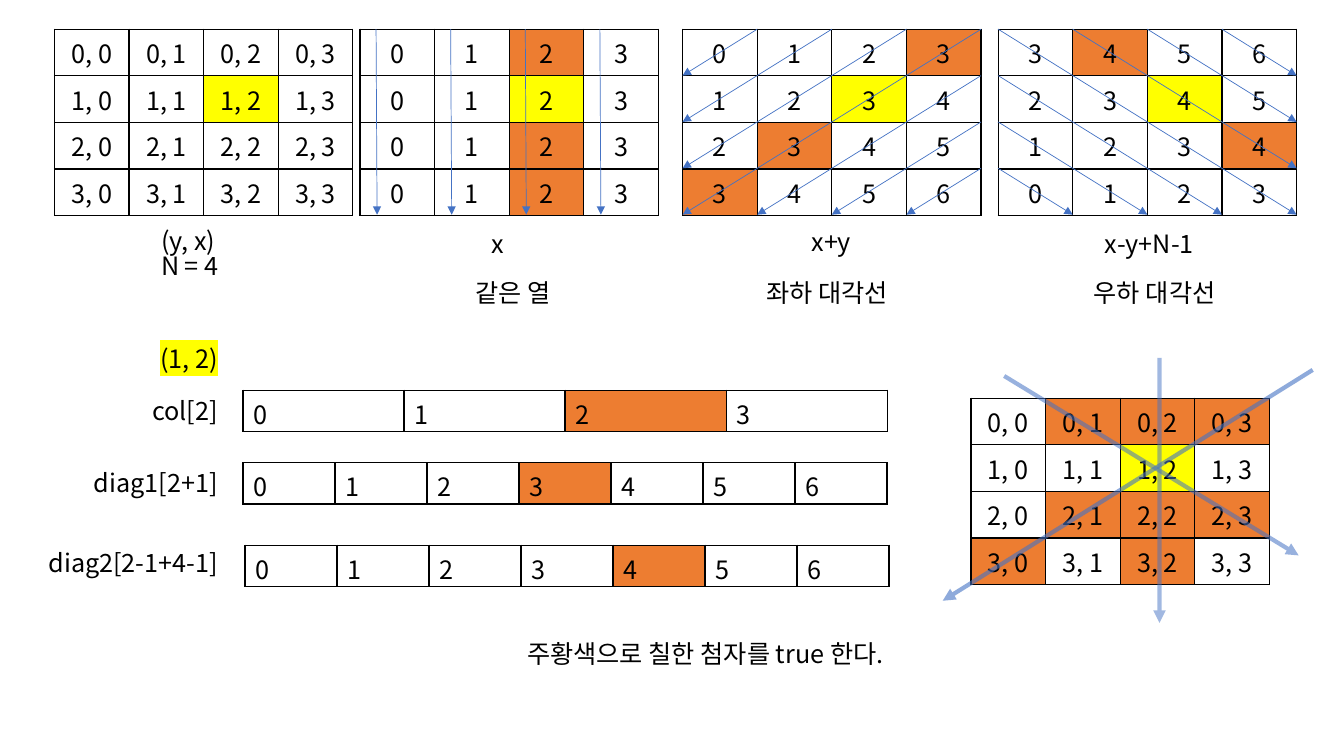
from pptx import Presentation
from pptx.dml.color import RGBColor
from pptx.enum.shapes import MSO_CONNECTOR
from pptx.enum.text import MSO_AUTO_SIZE, PP_ALIGN
from pptx.oxml import parse_xml
from pptx.oxml.ns import nsdecls, qn
from pptx.util import Inches, Pt

LEFT, CENTER, RIGHT = PP_ALIGN.LEFT, PP_ALIGN.CENTER, PP_ALIGN.RIGHT
STRAIGHT = MSO_CONNECTOR.STRAIGHT
FIT_SHAPE = MSO_AUTO_SIZE.SHAPE_TO_FIT_TEXT

BLACK = RGBColor(0x00, 0x00, 0x00)
ORANGE = RGBColor(0xED, 0x7D, 0x31)
YELLOW = RGBColor(0xFF, 0xFF, 0x00)
BLUE = RGBColor(0x44, 0x72, 0xC4)
FONT = "Noto Sans CJK KR"

N = 4
QUEEN_Y, QUEEN_X = 1, 2
COL, ROW = 0.74, 0.46
STRIP_WIDTH, STRIP_HEIGHT = 6.39, 0.41
BOARD_TOP = 0.29
LABEL_RIGHT = 2.26


def element(tag, body="", attrs=""):
    """Return a DrawingML element."""
    return parse_xml(f"<a:{tag} {nsdecls('a')} {attrs}>{body}</a:{tag}>")


def format_paragraph(p, align):
    """Apply the common font and the alignment to a paragraph."""
    p.alignment = align
    p.font.size = Pt(18)
    p.font.color.rgb = BLACK
    p.font.name = FONT
    latin = p._p.pPr.find(qn("a:defRPr")).find(qn("a:latin"))
    latin.addnext(element("ea", attrs=f'typeface="{FONT}"'))


def add_borders(cell):
    """Draw a thin black line on each side of a cell."""
    fill = f'<a:solidFill><a:srgbClr val="{BLACK}"/></a:solidFill>'
    for i, side in enumerate(("lnL", "lnR", "lnT", "lnB")):
        cell._tc.get_or_add_tcPr().insert(i, element(side, fill, 'w="12700"'))


def add_grid(s, left, top, col, row, rows, align):
    """Add a bordered table from rows of (text, fill) pairs."""
    n_rows, n_cols = len(rows), len(rows[0])
    table = s.shapes.add_table(n_rows, n_cols, Inches(left), Inches(top),
                               Inches(col * n_cols), Inches(row * n_rows)).table
    table.first_row = table.horz_banding = False
    for y, values in enumerate(rows):
        table.rows[y].height = Inches(row)
        for x, (text, color) in enumerate(values):
            table.columns[x].width = Inches(col)
            cell = table.cell(y, x)
            cell.text = text
            format_paragraph(cell.text_frame.paragraphs[0], align)
            if color is None:
                cell.fill.background()
            else:
                cell.fill.solid()
                cell.fill.fore_color.rgb = color
            if row < ROW:
                cell.margin_bottom = 0
            add_borders(cell)


def add_board(s, left, top, value, attacked):
    """Add an N by N board with the queen in yellow and attacked cells in orange."""
    def color(y, x):
        if (y, x) == (QUEEN_Y, QUEEN_X):
            return YELLOW
        return ORANGE if attacked(y, x) else None

    rows = [[(value(y, x), color(y, x)) for x in range(N)] for y in range(N)]
    add_grid(s, left, top, COL, ROW, rows, CENTER)


def add_strip(s, left, top, count, marked):
    """Add a one-row array with its marked index in orange."""
    row = [(str(i), ORANGE if i == marked else None) for i in range(count)]
    add_grid(s, left, top, STRIP_WIDTH / count, STRIP_HEIGHT, [row], LEFT)


def add_label(s, left, top, width, text, align=LEFT, wrap=True, highlight=None):
    """Add a text box with one paragraph per line of text."""
    lines = text.split("\n")
    tf = s.shapes.add_textbox(Inches(left), Inches(top), Inches(width),
                              Inches(0.1 + 0.3 * len(lines))).text_frame
    tf.word_wrap = wrap
    tf.auto_size = FIT_SHAPE
    tf.text = text
    for i, p in enumerate(tf.paragraphs):
        format_paragraph(p, align)
        if i:
            p.line_spacing = 0.8
        if highlight is not None:
            color = f'<a:srgbClr val="{highlight}"/>'
            p.runs[0]._r.get_or_add_rPr().append(element("highlight", color))


def add_arrow(s, start, end, width=0.5, opacity=100):
    """Add a blue arrow between two points."""
    line = s.shapes.add_connector(STRAIGHT, *(Inches(v) for v in (*start, *end)))
    line.line.color.rgb = BLUE
    line.line.width = Pt(width)
    ln = line.line._ln
    ln.append(element("tailEnd", attrs='type="triangle"'))
    if opacity < 100:
        color = ln.find(qn("a:solidFill"))[0]
        color.append(element("alpha", attrs=f'val="{opacity * 1000}"'))
    line._element.spPr.append(element("effectLst"))


def add_diagonals(s, left, mirrored):
    """Add one arrow along each diagonal of a board."""
    def point(x, y):
        return left + COL * (N - x if mirrored else x), BOARD_TOP + ROW * y

    for k in range(1, 2 * N):
        near, far = max(0, k - N), min(k, N)
        add_arrow(s, point(far, near), point(near, far))


def main():
    """Build the slide on queen attack indices."""
    prs = Presentation()
    prs.slide_width, prs.slide_height = Inches(13.33), Inches(7.5)
    s = prs.slides.add_slide(prs.slide_layouts[6])

    def pair(y, x):
        return f"{y}, {x}"

    def same_column(y, x):
        return x == QUEEN_X

    def same_down_left(y, x):
        return x + y == QUEEN_X + QUEEN_Y

    def same_down_right(y, x):
        return x - y == QUEEN_X - QUEEN_Y

    def any_line(y, x):
        return same_column(y, x) or same_down_left(y, x) or same_down_right(y, x)

    add_board(s, 0.54, BOARD_TOP, pair, lambda y, x: False)
    add_board(s, 3.57, BOARD_TOP, lambda y, x: str(x), same_column)
    add_board(s, 6.77, BOARD_TOP, lambda y, x: str(x + y), same_down_left)
    add_board(s, 9.9, BOARD_TOP, lambda y, x: str(x - y + N - 1), same_down_right)
    add_board(s, 9.63, 3.95, pair, any_line)

    for x in range(N):
        left = 3.73 + COL * x
        add_arrow(s, (left, BOARD_TOP), (left + 0.01, BOARD_TOP + ROW * N))
    add_diagonals(s, 6.77, mirrored=False)
    add_diagonals(s, 9.9, mirrored=True)

    for left, top, width, text in (
        (1.5, 2.19, 1.24, "(y, x)\nN\u00a0= 4"),
        (4.78, 2.22, 0.97, "x"),
        (7.95, 2.2, 1.64, "x+y"),
        (10.86, 2.22, 1.95, "x-y+N-1"),
        (4.62, 2.7, 1.05, "같은 열"),
        (7.5, 2.7, 1.64, "좌하 대각선"),
        (10.75, 2.7, 1.78, "우하 대각선"),
    ):
        add_label(s, left, top, width, text)

    add_label(s, 1.49, 3.36, 0.97, "(1, 2)", highlight=YELLOW)
    for left, top, count, marked, label_top, width, text in (
        (2.41, 3.87, N, 2, 3.87, 0.97, "col[2]"),
        (2.41, 4.59, 2 * N - 1, 3, 4.59, 1.64, "diag1[2+1]"),
        (2.43, 5.41, 2 * N - 1, 4, 5.38, 1.95, "diag2[2-1+4-1]"),
    ):
        add_strip(s, left, top, count, marked)
        add_label(s, LABEL_RIGHT - width, label_top, width, text, RIGHT)
    add_label(s, 5.13, 6.28, 4.1, "주황색으로 칠한 첨자를 true 한다.", wrap=False)

    add_arrow(s, (13.02, 3.67), (9.35, 5.96), 3, 60)
    add_arrow(s, (11.5, 3.55), (11.5, 6.18), 3, 49)
    add_arrow(s, (9.96, 3.73), (12.88, 5.51), 3, 55)

    prs.save("out.pptx")


if __name__ == "__main__":
    main()
